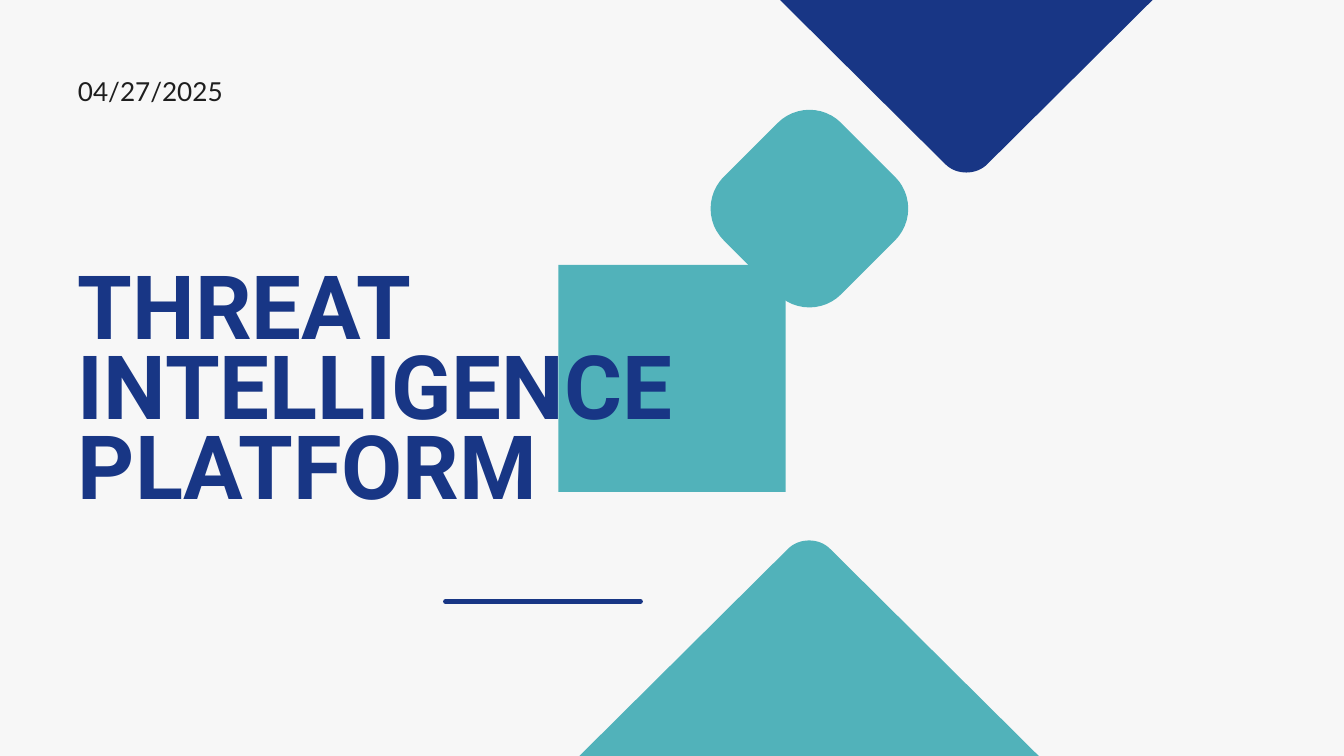
from pptx import Presentation
from pptx.dml.color import RGBColor as Rgb
from pptx.enum.shapes import MSO_CONNECTOR as Conn, MSO_SHAPE as Kind
from pptx.enum.text import MSO_ANCHOR as Anchor, MSO_AUTO_SIZE as Auto, PP_ALIGN as Align
from pptx.oxml.ns import qn
from pptx.util import Inches, Pt
from lxml.etree import SubElement as Sub

NAVY, TEAL, INK, PALE = "183685", "51B2BA", "1E1E1E", "F7F7F7"
COLS, ROWS = 20, 11.25


def tint(code):
    return Rgb.from_string(code)


class Deck:
    def __init__(self):
        self.prs = Presentation()
        self.prs.slide_width = Inches(COLS)
        self.prs.slide_height = Inches(ROWS)
        self.unit = self.prs.slide_width / COLS
        self.page = self.prs.slides.add_slide(self.prs.slide_layouts[0])
        back = self.page.background.fill
        back.solid()
        back.fore_color.rgb = tint(PALE)

    def grid(self, *cells):
        return [round(cell * self.unit) for cell in cells]

    def paint(self, shape, color):
        shape.shadow.inherit = False
        shape.fill.solid()
        shape.fill.fore_color.rgb = tint(color)
        shape.line.fill.background()

    def block(self, kind, box, color, turn=0, bend=None):
        shape = self.page.shapes.add_shape(kind, *self.grid(*box))
        shape.rotation = turn
        if bend is not None:
            shape.adjustments[0] = bend
        self.paint(shape, color)

    def peak(self, mid, tip, half, tall, color, way=1):
        steps = [n / 16 for n in range(8, 17)]
        side = [(0.315 * (t ** 3 - (1 - t) ** 3) + 0.45 * t * (1 - t) * (2 * t - 1),
                 0.17 * (t ** 3 + (1 - t) ** 3)) for t in steps]
        foot = [(-0.06, -0.31), (-0.02, -0.22), (-0.02, -0.11), (-0.09, -0.02), (-0.19, 0)]
        side += [(half + x, tall + y) for x, y in foot]
        ring = side + [(-x, y) for x, y in reversed(side[1:])]
        dots = [self.grid(mid + x, tip + way * y) for x, y in ring]
        form = self.page.shapes.build_freeform(*dots[0])
        form.add_line_segments(dots[1:], close=True)
        self.paint(form.convert_to_shape(), color)

    def rule(self, start, end, color, width):
        bar = self.page.shapes.add_connector(Conn.STRAIGHT, *self.grid(*start, *end))
        bar.line.color.rgb = tint(color)
        bar.line.width = Pt(width)
        bar.line._get_or_add_ln().set("cap", "rnd")
        Sub(bar._element.spPr, qn("a:effectLst"))

    def label(self, slot, text, box, font, size, lead, color, bold=False):
        shape = self.page.placeholders[slot]
        shape.left, shape.top, shape.width, shape.height = self.grid(*box)
        self.page.shapes._spTree.append(shape._element)
        frame = shape.text_frame
        frame.text = text
        frame.word_wrap = True
        frame.auto_size = Auto.NONE
        frame.vertical_anchor = Anchor.TOP
        frame.margin_left = frame.margin_right = frame.margin_top = frame.margin_bottom = 0
        para = frame.paragraphs[0]
        para.alignment = Align.LEFT
        para.line_spacing = Pt(lead)
        para.space_before = Pt(0)
        face = para.runs[0].font
        face.name, face.size, face.bold = font, Pt(size), bold
        face.color.rgb = tint(color)


def main():
    deck = Deck()
    deck.peak(12.04, 8, 10.67, 10.7, TEAL)
    deck.peak(14.38, 2.61, 10.02, 10.06, NAVY, way=-1)
    deck.rule((6.63, 8.95), (9.53, 8.95), NAVY, 5.25)
    deck.block(Kind.ROUNDED_RECTANGLE, (10.81, 1.87, 2.47, 2.47), TEAL, turn=45, bend=0.27)
    deck.block(Kind.RECTANGLE, (8.31, 3.94, 3.38, 3.38), TEAL)
    deck.label(0, "THREAT INTELLIGENCE PLATFORM", (1.16, 4.13, 9.76, 3.66),
               "Roboto", 95, 85.5, NAVY, bold=True)
    deck.label(1, "04/27/2025", (1.16, 1.05, 4.41, 0.54), "Lato", 28, 39.2, INK)
    deck.prs.save("out.pptx")


if __name__ == "__main__":
    main()
